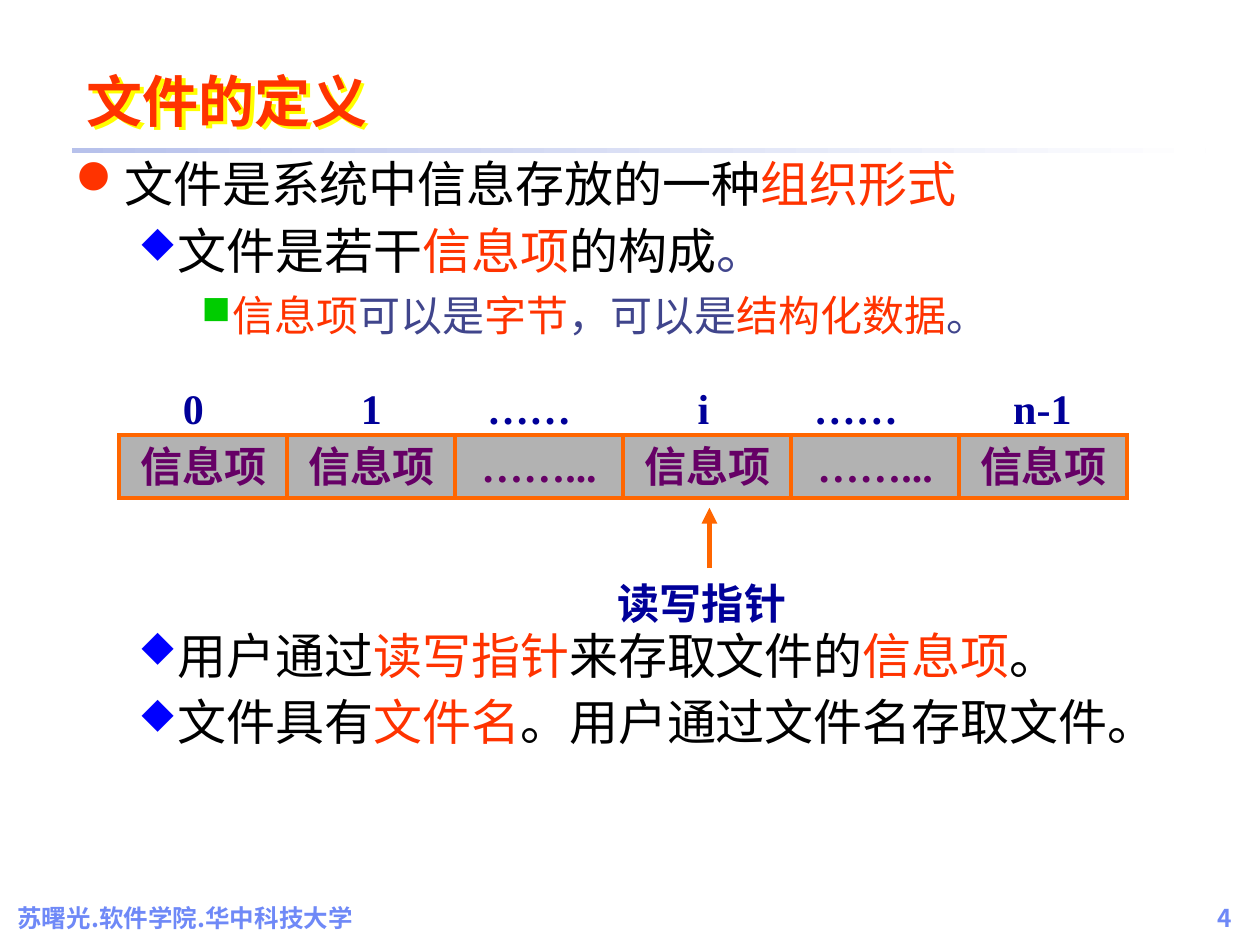
from typing import NamedTuple

from lxml.etree import SubElement
from pptx import Presentation
from pptx.dml.color import RGBColor
from pptx.enum.shapes import MSO_CONNECTOR as Connector, MSO_SHAPE as Shape
from pptx.enum.text import MSO_ANCHOR as Anchor, MSO_AUTO_SIZE as AutoSize, PP_ALIGN as Align
from pptx.oxml.ns import qn
from pptx.util import Pt

SANS, SERIF, SYMBOLS = "Noto Sans CJK SC", "Times New Roman", "Wingdings"
BLACK, RED, SLATE, NAVY = "000000", "FF3300", "40458C", "000099"
ORANGE, PURPLE, FOOTER = "FF6600", "660066", "6F89F7"


class Level(NamedTuple):
    bullet: str
    color: str
    percent: int
    indent: float
    hanging: float
    size: float
    font: str


class Item(NamedTuple):
    level: int
    space_before: float
    spans: list[tuple[str, str]]


# Bullet letters stand for a disc, a diamond and a square in the symbol font
LEVELS = [
    Level("l", RED, 100, 27, 27, 28, SANS),
    Level("u", "0000FF", 80, 58.5, 22.5, 28, SANS),
    Level("n", "00CC00", 95, 90, 18, 24, SERIF),
]
# The fourth item leaves room for the record diagram above it
ITEMS = [
    Item(0, 0, [("文件是系统中信息存放的一种", BLACK), ("组织形式", RED)]),
    Item(1, 4.6, [("文件是若干", BLACK), ("信息项", RED), ("的构成", BLACK), ("。", SLATE)]),
    Item(2, 5.8, [("信息项", RED), ("可以是", SLATE), ("字节", RED), ("，可以是", SLATE),
                  ("结构化数据", RED), ("。", SLATE)]),
    Item(1, 163, [("用户通过", BLACK), ("读写指针", RED), ("来存取文件的", BLACK),
                  ("信息项", RED), ("。", BLACK)]),
    Item(1, 4.6, [("文件具有", BLACK), ("文件名", RED), ("。用户通过文件名存取文件。", BLACK)]),
]
RECORDS = ["信息项", "信息项", "……...", "信息项", "……...", "信息项"]
# Index labels with their centres on the page
INDEXES = [("0", 110.6), ("1", 212.4), ("……", 302.5), ("i", 402.1), ("……", 489.2), ("n-1", 595.8)]


def rgb(color: str) -> RGBColor:
    return RGBColor.from_string(color)


def add_span(para, text: str, size: float, color: str, font: str = SANS, bold: bool = False) -> None:
    span = para.add_run()
    span.text = text
    span.font.size = Pt(size)
    span.font.bold = bold
    span.font.name = font
    span.font.color.rgb = rgb(color)
    SubElement(span.font._element, qn("a:ea"), typeface=SANS)


def add_box(page, left: float, top: float, width: float, height: float,
            anchor=Anchor.MIDDLE, align=Align.LEFT, wrap: bool = True):
    box = page.shapes.add_textbox(Pt(left), Pt(top), Pt(width), Pt(height))
    frame = box.text_frame
    frame.word_wrap = wrap
    frame.vertical_anchor = anchor
    frame.paragraphs[0].alignment = align
    return box


def set_bullet(para, level: Level) -> None:
    props = para._p.get_or_add_pPr()
    props.set("marL", str(Pt(level.indent)))
    props.set("indent", str(-Pt(level.hanging)))
    color = SubElement(props, qn("a:buClr"))
    SubElement(color, qn("a:srgbClr"), val=level.color)
    SubElement(props, qn("a:buSzPct"), val=str(level.percent * 1000))
    SubElement(props, qn("a:buFont"), typeface=SYMBOLS, pitchFamily="2", charset="2")
    SubElement(props, qn("a:buChar"), char=level.bullet)


def draw_title(page) -> None:
    title = page.shapes.title
    title.left, title.top, title.width, title.height = Pt(42.5), Pt(26), Pt(533), Pt(54)
    frame = title.text_frame
    frame.auto_size = AutoSize.NONE
    frame.vertical_anchor = Anchor.BOTTOM
    para = frame.paragraphs[0]
    para.alignment = Align.LEFT
    add_span(para, "文件的定义", 32, RED, bold=True)
    # Yellow shadow behind the title text
    effects = SubElement(title._element.spPr, qn("a:effectLst"))
    shadow = SubElement(effects, qn("a:outerShdw"), dist=str(Pt(2.8)), dir="2700000", algn="ctr")
    SubElement(shadow, qn("a:srgbClr"), val="FFFF00")


def draw_rule(page) -> None:
    rule = page.shapes.add_shape(Shape.RECTANGLE, Pt(41), Pt(84.8), Pt(648), Pt(2.4))
    rule.shadow.inherit = False
    rule.line.fill.background()
    rule.fill.gradient()
    rule.fill.gradient_angle = 0
    for stop, color in zip(rule.fill.gradient_stops, ("B7C1EB", "FFFFFF")):
        stop.color.rgb = rgb(color)


def draw_outline(page) -> None:
    frame = add_box(page, 36, 84.2, 666, 406.8, Anchor.TOP).text_frame
    for number, item in enumerate(ITEMS):
        para = frame.add_paragraph() if number else frame.paragraphs[0]
        level = LEVELS[item.level]
        para.level = item.level
        para.alignment = Align.JUSTIFY
        para.space_before = Pt(item.space_before)
        set_bullet(para, level)
        for text, color in item.spans:
            add_span(para, text, level.size, color, level.font)


def draw_records(page, left: float = 68, top: float = 248.4,
                 width: float = 96, height: float = 36) -> None:
    for number, text in enumerate(RECORDS):
        cell = page.shapes.add_shape(Shape.RECTANGLE, Pt(left + number * width), Pt(top),
                                     Pt(width), Pt(height))
        cell.shadow.inherit = False
        cell.fill.solid()
        cell.fill.fore_color.rgb = rgb("B2B2B2")
        cell.line.color.rgb = rgb(ORANGE)
        cell.line.width = Pt(2.25)
        SubElement(cell.line._get_or_add_ln(), qn("a:miter"), lim="800000")
        cell.text_frame.word_wrap = False
        cell.text_frame.vertical_anchor = Anchor.MIDDLE
        para = cell.text_frame.paragraphs[0]
        para.alignment = Align.CENTER
        add_span(para, text, 24, PURPLE, SERIF, True)


def draw_indexes(page, left: float = 25.2, inset: float = 7.2) -> None:
    para = add_box(page, left, 215.1, 607, 36).text_frame.paragraphs[0]
    tabs = SubElement(para._p.get_or_add_pPr(), qn("a:tabLst"))
    for text, center in INDEXES:
        SubElement(tabs, qn("a:tab"), pos=str(Pt(center - left - inset)), algn="ctr")
        add_span(para, "\t" + text, 24, NAVY, SERIF, True)


def draw_pointer(page, x: float = 405.4) -> None:
    label = add_box(page, 345, 326, 112.3, 36.7, align=Align.CENTER, wrap=False)
    add_span(label.text_frame.paragraphs[0], "读写指针", 24, NAVY, SERIF, True)
    arrow = page.shapes.add_connector(Connector.STRAIGHT, Pt(x), Pt(324.7), Pt(x), Pt(290.2))
    arrow.line.color.rgb = rgb(ORANGE)
    arrow.line.width = Pt(3)
    SubElement(arrow.line._get_or_add_ln(), qn("a:tailEnd"), type="triangle")
    SubElement(arrow._element.spPr, qn("a:effectLst"))


def draw_footer(page) -> None:
    for text, left, width, align in (("苏曙光.软件学院.华中科技大学", 2.9, 336, Align.LEFT),
                                     ("4", 632, 79.2, Align.RIGHT)):
        box = add_box(page, left, 500.4, width, 36, Anchor.BOTTOM, align)
        add_span(box.text_frame.paragraphs[0], text, 14, FOOTER, bold=True)


def main() -> None:
    deck = Presentation()
    deck.slide_width, deck.slide_height = Pt(720), Pt(540)
    page = deck.slides.add_slide(deck.slide_layouts[5])
    for draw in (draw_rule, draw_footer, draw_title, draw_outline,
                 draw_records, draw_indexes, draw_pointer):
        draw(page)
    deck.save("out.pptx")


if __name__ == "__main__":
    main()
